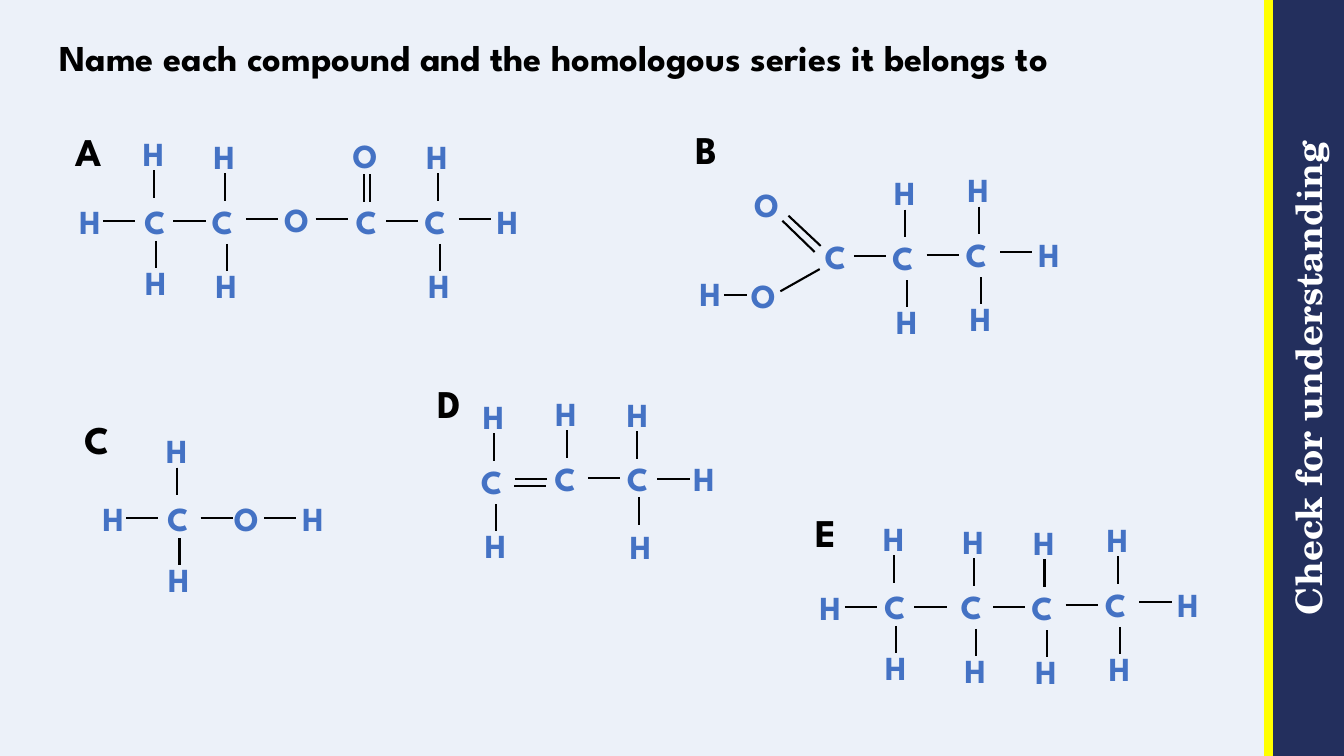
import pptx
import pptx.util
import pptx.dml.color
import pptx.enum.shapes
import pptx.enum.text
import pptx.oxml.ns
import lxml.etree

COLUMNS, ROWS = 1333, 750
CELL = pptx.util.Inches(0.01)
BLACK, WHITE, NAVY, BLUE, YELLOW, PALE = "000000", "FFFFFF", "232F5D", "4472C4", "FFFF00", "ECF1F9"
ANCHOR = pptx.enum.text.MSO_ANCHOR
ALIGN = pptx.enum.text.PP_ALIGN
ATOM_WIDTHS = {"H": 43, "C": 48, "O": 48}
BOND = 32

# Offsets are grid cells from the compound's own corner.
COMPOUNDS = [
    dict(label="A", box=(65, 121, 49, 57),
         carbons=[(65, 70, 3), (135, 73, 0), (346, 73, 0)],
         atoms=[("H", 4, 73), ("O", 207, 71), ("O", 275, 8), ("C", 278, 73), ("H", 418, 73)],
         level_bonds=[(37, 98), (107, 98), (179, 96), (248, 96), (318, 98), (390, 96)],
         other_bonds=[(296, 52, 296, 79), (302, 52, 302, 79)]),
    dict(label="B", box=(680, 119, 43, 57),
         carbons=[(195, 111, 0), (268, 108, 0)],
         atoms=[("O", 58, 59), ("C", 128, 110), ("O", 55, 149), ("H", 4, 147), ("H", 340, 108)],
         level_bonds=[(239, 134), (167, 135), (312, 131)],
         other_bonds=[(133, 148, 94, 170), (102, 95, 134, 125), (96, 100, 128, 131), (38, 174, 61, 174)]),
    dict(label="C", box=(74, 407, 51, 57),
         carbons=[(79, 79, 3)],
         atoms=[("H", 18, 82), ("O", 148, 82), ("H", 216, 82)],
         level_bonds=[(51, 107), (125, 107), (188, 107)],
         other_bonds=[]),
    dict(label="D", box=(424, 371, 48, 57),
         carbons=[(43, 81, 0)],
         atoms=[("C", 116, 78), ("H", 117, 14), ("C", 188, 78), ("H", 188, 15), ("H", 191, 146), ("H", 254, 78)],
         level_bonds=[(87, 104), (86, 111), (159, 103), (228, 104)],
         other_bonds=[(138, 56, 138, 83), (208, 57, 208, 84), (210, 122, 210, 150)]),
    dict(label="E", box=(799, 499, 41, 57),
         carbons=[(65, 74, 3), (144, 77, 0), (214, 78, 0), (287, 75, 0)],
         atoms=[("H", 4, 78), ("H", 359, 75)],
         level_bonds=[(39, 103), (108, 103), (186, 103), (258, 101), (331, 98)],
         other_bonds=[]),
]


def colour(value):
    """Turn a hex string into a colour."""
    return pptx.dml.color.RGBColor.from_string(value)


def grid(*cells):
    """Turn grid cells into lengths."""
    return [cell * CELL for cell in cells]


def write(frame, text, size=24, font="League Spartan", ink=BLACK, align=ALIGN.LEFT,
          anchor=ANCHOR.TOP, wrap=True, inset=None, spacing=None):
    """Write one bold formatted line into a text frame."""
    frame.word_wrap = wrap
    frame.vertical_anchor = anchor
    if inset is not None:
        frame.margin_left = frame.margin_right = frame.margin_top = frame.margin_bottom = inset
    para = frame.paragraphs[0]
    para.alignment = align
    if spacing:
        para.line_spacing = spacing
    span = para.add_run()
    span.text = text
    span.font.size = pptx.util.Pt(size)
    span.font.name = font
    span.font.bold = True
    span.font.color.rgb = colour(ink)


def letter(page, text, box, **style):
    """Place a letter in a box that fits its text."""
    frame = page.shapes.add_textbox(*grid(*box)).text_frame
    write(frame, text, wrap=False, **style)
    frame.auto_size = pptx.enum.text.MSO_AUTO_SIZE.SHAPE_TO_FIT_TEXT


def line(page, ends, ink=BLACK, width=1.5):
    """Draw a straight line between two grid points."""
    connector = page.shapes.add_connector(pptx.enum.shapes.MSO_CONNECTOR.STRAIGHT, *grid(*ends))
    connector.line.color.rgb = colour(ink)
    connector.line.width = pptx.util.Pt(width)
    properties = connector._element.spPr
    lxml.etree.SubElement(properties, pptx.oxml.ns.qn("a:effectLst"))


def compound(page, label, box, carbons, atoms, level_bonds, other_bonds):
    """Draw a labelled structural formula from the corner of its box."""
    left, top = box[:2]
    all_atoms, all_bonds = list(atoms), list(other_bonds)
    for x, y, nudge in carbons:
        all_atoms += [("C", x + nudge, y + nudge), ("H", x + 2, y - 64), ("H", x + 4, y + 64)]
        all_bonds += [(x + 23, y - 22, x + 23, y + 5), (x + 25, y + 48, x + 25, y + 75)]
    all_bonds += [(x, y, x + BOND, y) for x, y in level_bonds]
    for x1, y1, x2, y2 in all_bonds:
        line(page, (left + x1, top + y1, left + x2, top + y2))
    for symbol, x, y in all_atoms:
        letter(page, symbol, (left + x, top + y, ATOM_WIDTHS[symbol], 50), ink=BLUE)
    letter(page, label, box, size=28)


def sidebar(page, left, width):
    """Draw the upright banner with its yellow edge."""
    middle = left + width / 2
    box = [int(side) for side in grid(middle - ROWS / 2, (ROWS - width) / 2, ROWS, width)]
    banner = page.shapes.add_shape(pptx.enum.shapes.MSO_SHAPE.RECTANGLE, *box)
    banner.rotation = 270
    banner.shadow.inherit = False
    banner.fill.solid()
    banner.fill.fore_color.rgb = colour(NAVY)
    banner.line.fill.background()
    write(banner.text_frame, "Check for understanding", size=26, font="TeX Gyre Schola",
          ink=WHITE, align=ALIGN.CENTER, anchor=ANCHOR.MIDDLE, inset=0)
    line(page, (left - 3, 0, left - 3, ROWS), ink=YELLOW, width=6)


def heading(page, box):
    """Fill and place the title."""
    title = page.shapes.title
    title.left, title.top, title.width, title.height = grid(*box)
    write(title.text_frame, "Name each compound and the homologous series it belongs to",
          size=26, anchor=ANCHOR.BOTTOM, inset=0, spacing=0.9)


def main():
    """Build and save the deck."""
    deck = pptx.Presentation()
    deck.slide_width, deck.slide_height = grid(COLUMNS, ROWS)
    page = deck.slides.add_slide(deck.slide_layouts[5])
    page.background.fill.solid()
    page.background.fill.fore_color.rgb = colour(PALE)
    sidebar(page, 1261, 72)
    heading(page, (59, 0, 1161, 79))
    for parts in COMPOUNDS:
        compound(page, **parts)
    deck.save("out.pptx")


if __name__ == "__main__":
    main()
